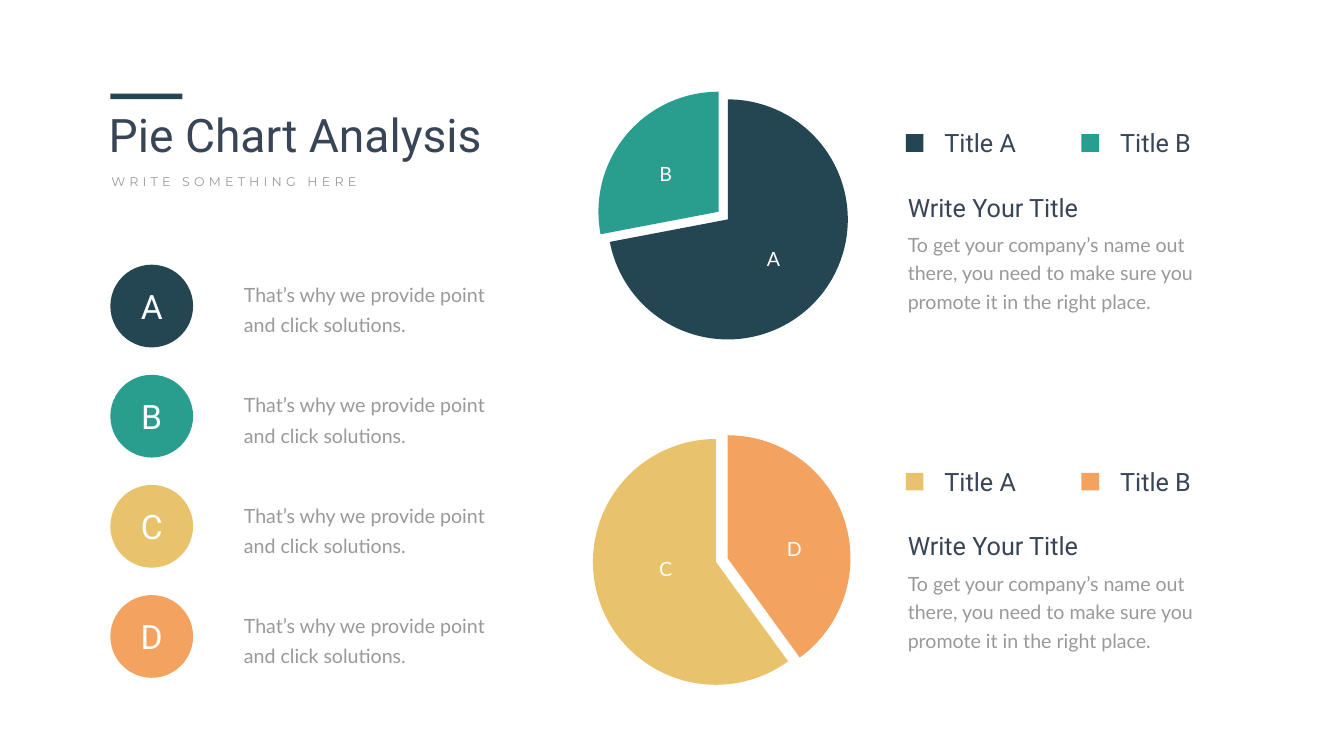
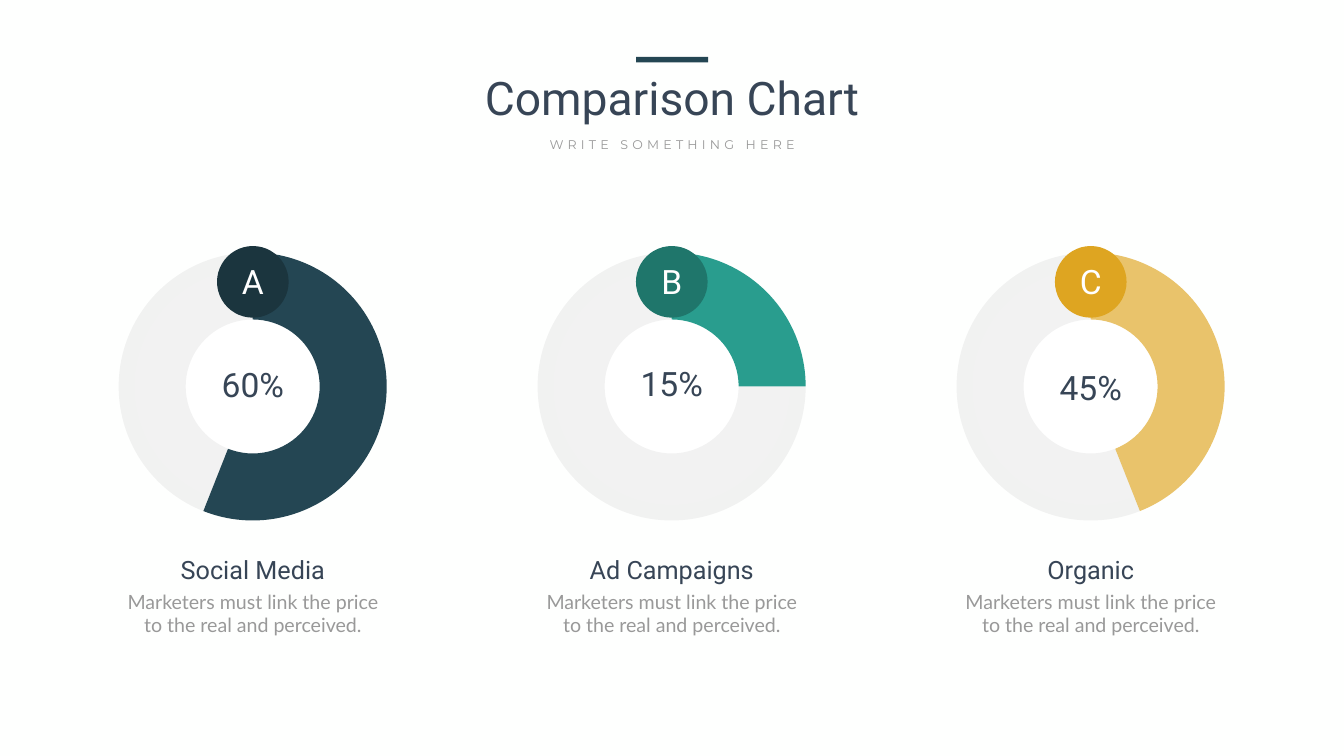
from dataclasses import dataclass

from lxml.etree import SubElement
from pptx import Presentation
from pptx.chart.data import CategoryChartData
from pptx.dml.color import RGBColor
from pptx.enum.chart import XL_CHART_TYPE
from pptx.enum.shapes import MSO_SHAPE
from pptx.enum.text import MSO_AUTO_SIZE, PP_ALIGN
from pptx.oxml import parse_xml
from pptx.oxml.ns import nsdecls, qn
from pptx.util import Cm, Pt


@dataclass(frozen=True)
class Style:
    font: str
    size: int
    color: str
    tracking: int = 0  # extra space between letters, in points


class Theme:
    paper = "FEFFFE"
    white = "FFFFFF"
    navy = "244653"
    teal = "299D8E"
    sand = "E9C36B"
    orange = "F4A260"
    dark_navy = "1B353E"
    dark_teal = "1F766B"
    dark_sand = "DEA521"
    track = "808080"

    title = Style("Roboto", 66, "374556")
    subtitle = Style("Montserrat", 18, "999999", 6)
    figure = Style("Roboto", 48, "374556")
    badge = Style("Roboto", 48, "FFFFFF")
    subhead = Style("Roboto", 36, "374556")
    body = Style("Lato", 28, "999999")
    slice_label = Style("Lato", 28, "FFFFFF", 12)
    chart = Style("Calibri", 10, "999999")


def rgb(color):
    return RGBColor.from_string(color)


# ---- Basic parts; positions and sizes are in centimetres ----

def set_font(font, style):
    font.name = style.font
    font.size = Pt(style.size)
    font.color.rgb = rgb(style.color)


def add_text(shapes, text, style, left, top, width, height,
             centred=False, wrap=True, line_pitch=None):
    box = shapes.add_textbox(Cm(left), Cm(top), Cm(width), Cm(height))
    frame = box.text_frame
    frame.text = text
    frame.word_wrap = wrap
    frame.auto_size = MSO_AUTO_SIZE.SHAPE_TO_FIT_TEXT
    para = frame.paragraphs[0]
    para.alignment = PP_ALIGN.CENTER if centred else PP_ALIGN.LEFT
    if line_pitch:
        para.line_spacing = Pt(line_pitch)
    for span in para.runs:
        set_font(span.font, style)
        if style.tracking:
            span.font._element.set("spc", str(style.tracking * 100))


def add_filled(shapes, kind, color, left, top, width, height):
    shape = shapes.add_shape(kind, Cm(left), Cm(top), Cm(width), Cm(height))
    shape.shadow.inherit = False
    shape.fill.solid()
    shape.fill.fore_color.rgb = rgb(color)
    shape.line.fill.background()


def add_badge(page, letter, color, left, top, size, label_width):
    """Circle with a letter in its middle."""
    label_height = 2.31
    shapes = page.shapes.add_group_shape().shapes
    add_filled(shapes, MSO_SHAPE.OVAL, color, left, top, size, size)
    add_text(shapes, letter, Theme.badge, left + (size - label_width) / 2,
             top + (size - label_height) / 2, label_width, label_height,
             centred=True)


def add_round_chart(page, kind, values, colors, box, fill_share):
    """Pie or doughnut centred in its box, as a share of the box height."""
    data = CategoryChartData()
    data.categories = ["1", "2"]
    data.add_series("Series 1", values)
    chart = page.shapes.add_chart(kind, *map(Cm, box), data).chart
    chart.has_title = False
    chart.has_legend = False
    set_font(chart.font, Theme.chart)
    plot = chart.plots[0]
    plot.vary_by_categories = True
    plot.has_data_labels = False
    for index, color in enumerate(colors):
        slice_format = plot.series[0].points[index].format
        slice_format.fill.solid()
        slice_format.fill.fore_color.rgb = rgb(color)
        slice_format.line.fill.background()

    # Fixed square plot area
    area = chart.element.find(".//" + qn("c:plotArea"))
    for old_layout in area.findall(qn("c:layout")):
        area.remove(old_layout)
    _, _, width, height = box
    share_x = fill_share * height / width
    area.insert(0, parse_xml(
        f'<c:layout {nsdecls("c")}><c:manualLayout>'
        '<c:layoutTarget val="inner"/>'
        '<c:xMode val="edge"/><c:yMode val="edge"/>'
        f'<c:x val="{(1 - share_x) / 2:.3f}"/>'
        f'<c:y val="{(1 - fill_share) / 2:.3f}"/>'
        f'<c:w val="{share_x:.3f}"/><c:h val="{fill_share:.3f}"/>'
        '</c:manualLayout></c:layout>'))
    return chart


def second_slice(chart):
    return chart.element.findall(".//" + qn("c:dPt"))[1]


def add_heading(page, title, left, top, width, centred=False):
    """Accent bar, title and spaced subtitle."""
    bar_width, subtitle_width = 3.63, 15.14
    if centred:
        bar_left = left + (width - bar_width) / 2
        subtitle_left = left + (width - subtitle_width) / 2
    else:
        bar_left, subtitle_left = left + 0.33, left + 0.13
    shapes = page.shapes.add_group_shape().shapes
    add_text(shapes, title, Theme.title, left, top + 0.5, width, 3.07, centred)
    add_text(shapes, "WRITE SOMETHING HERE", Theme.subtitle, subtitle_left,
             top + 3.9, subtitle_width, 1.02, centred)
    add_filled(shapes, MSO_SHAPE.RECTANGLE, Theme.navy, bar_left, top,
               bar_width, 0.28)


# ---- Slide 1: pie charts ----

def add_point_list(page, left, top):
    """Lettered circles, each with a short text."""
    colors = (Theme.navy, Theme.teal, Theme.sand, Theme.orange)
    for row, (letter, color) in enumerate(zip("ABCD", colors)):
        row_top = top + row * 5.55
        add_badge(page, letter, color, left, row_top, 4.17, 2.51)
        add_text(page.shapes,
                 "That’s why we provide point and click solutions.",
                 Theme.body, left + 6.48, row_top + 0.48, 12.95, 3.15,
                 line_pitch=43)


def add_pie(page, box, values, colors, labels):
    """Pie with its second slice pulled out, and a letter on each slice."""
    chart = add_round_chart(page, XL_CHART_TYPE.PIE, values, colors, box, 0.94)
    explosion = parse_xml(f'<c:explosion {nsdecls("c")} val="10"/>')
    second_slice(chart).find(qn("c:spPr")).addprevious(explosion)
    left, top, _, _ = box
    for letter, across, down in labels:
        add_text(page.shapes, letter, Theme.slice_label, left + across,
                 top + down, 1.6, 1.45, centred=True, wrap=False)


def add_legend(page, colors, left, top):
    """Colour key above a title and a paragraph."""
    shapes = page.shapes.add_group_shape().shapes
    add_text(shapes,
             "To get your company’s name out there, you need to make sure "
             "you promote it in the right place.",
             Theme.body, left, top + 5.05, 16.23, 4.5, line_pitch=40.8)
    add_text(shapes, "Write Your Title", Theme.subhead, left, top + 3.25,
             14.55, 1.8)
    for column, (name, color) in enumerate(zip(("Title A", "Title B"), colors)):
        key_left = left + column * 8.85
        add_text(shapes, name, Theme.subhead, key_left + 1.85, top, 6.3, 1.8)
        add_filled(shapes, MSO_SHAPE.RECTANGLE, color, key_left + 0.15,
                   top + 0.46, 0.89, 0.89)


def build_pie_slide(page):
    add_heading(page, "Pie Chart Analysis", 5.23, 4.72, 21.31)
    add_pie(page, (27.03, 4.62, 19.3, 12.88), (72, 28),
            (Theme.navy, Theme.teal), [("A", 11.15, 7.72), ("B", 5.71, 3.43)])
    add_pie(page, (26.77, 21.54, 19.76, 13.18), (40, 60),
            (Theme.orange, Theme.sand), [("D", 12.45, 5.38), ("C", 5.97, 6.4)])
    add_legend(page, (Theme.navy, Theme.teal), 45.49, 6.3)
    add_legend(page, (Theme.sand, Theme.orange), 45.49, 23.37)
    add_point_list(page, 5.56, 13.34)


# ---- Slide 2: comparison rings ----

def add_ring(page, middle, top, letter, share, values, color, badge_color,
             name, figure_drop):
    """Doughnut with badge, figure and caption, centred on one axis."""
    def centred_text(shapes, text, style, down, width, height):
        add_text(shapes, text, style, middle - width / 2, top + down,
                 width, height, centred=True)

    # Ring on a white disc
    width, height, disc = 15.16, 14.22, 11.94
    add_filled(page.shapes, MSO_SHAPE.OVAL, Theme.white, middle - disc / 2,
               top + (height - disc) / 2, disc, disc)
    chart = add_round_chart(page, XL_CHART_TYPE.DOUGHNUT, values,
                            (color, Theme.track),
                            (middle - width / 2, top, width, height), 0.95)
    chart.element.find(".//" + qn("c:holeSize")).set("val", "55")
    track_color = second_slice(chart).find(".//" + qn("a:srgbClr"))
    SubElement(track_color, qn("a:alpha")).set("val", "10000")
    centred_text(page.shapes, share, Theme.figure, figure_drop, 7.29, 2.31)

    # Caption
    shapes = page.shapes.add_group_shape().shapes
    centred_text(shapes,
                 "Marketers must link the price to the real and perceived.",
                 Theme.body, 17.22, 13.49, 2.64)
    centred_text(shapes, name, Theme.subhead, 15.42, 12.07, 1.8)

    badge_size = 3.61
    add_badge(page, letter, badge_color, middle - badge_size / 2, top + 0.03,
              badge_size, 2.84)


def build_comparison_slide(page):
    add_heading(page, "Comparison Chart", 19.66, 2.87, 28.42, centred=True)
    rings = [
        ("A", "60%", (56, 44), Theme.navy, Theme.dark_navy,
         "Social Media", 5.84),
        ("B", "15%", (25, 75), Theme.teal, Theme.dark_teal,
         "Ad Campaigns", 5.79),
        ("C", "45%", (44, 56), Theme.sand, Theme.dark_sand,
         "Organic", 5.99),
    ]
    for column, ring in enumerate(rings):
        add_ring(page, 12.74 + column * 21.11, 12.37, *ring)


def main():
    deck = Presentation()
    deck.slide_width, deck.slide_height = Cm(67.72), Cm(38.1)
    background = deck.slide_master.background.fill
    background.solid()
    background.fore_color.rgb = rgb(Theme.paper)
    blank = deck.slide_layouts[6]
    for build in (build_pie_slide, build_comparison_slide):
        build(deck.slides.add_slide(blank))
    deck.save("out.pptx")


if __name__ == "__main__":
    main()
